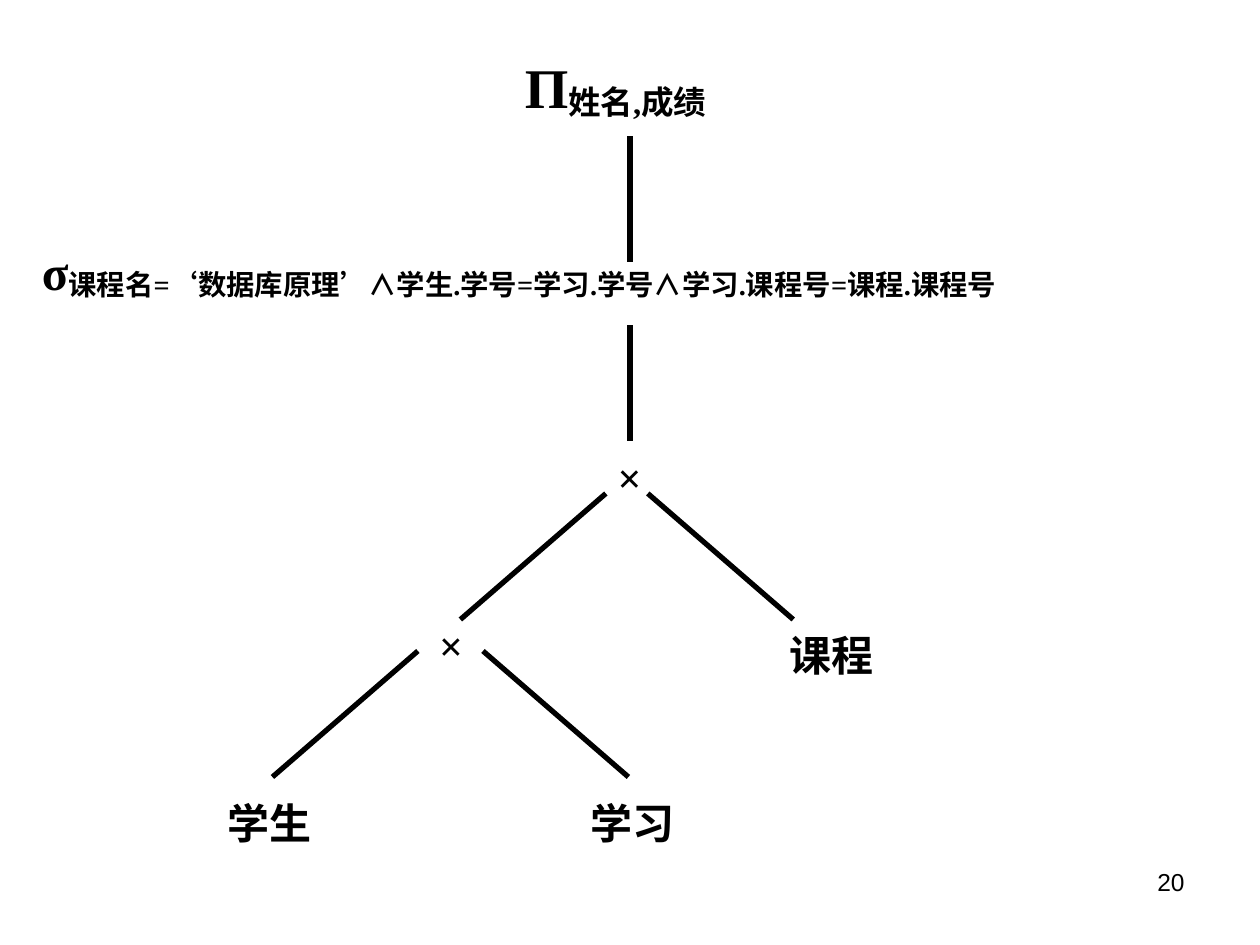
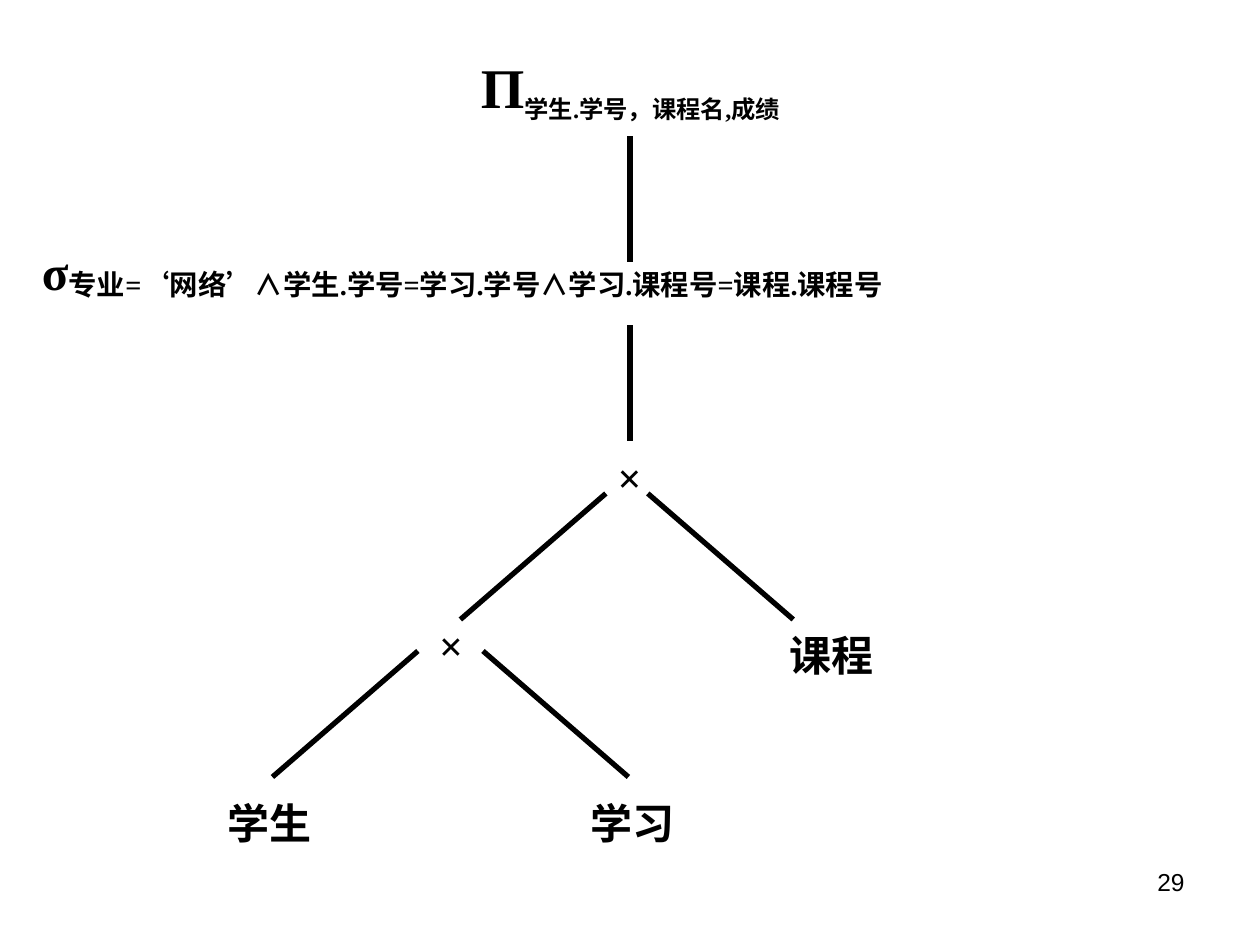
from lxml import etree
from pptx import Presentation, util as u
from pptx.dml.color import RGBColor
from pptx.enum import shapes, text
from pptx.oxml.ns import qn

BLACK = RGBColor(0, 0, 0)
SERIF, SANS = "Times New Roman", "Arial"
CELL = u.Inches(1 / 12)  # the slide is 120 columns by 90 rows
COLUMNS, ROWS = 120, 90
TRUNK = 60  # column of the vertical lines
BRANCH_COLUMNS, BRANCH_ROWS = 13.85, 12

# Joins: column, row and width of the sign
JOINS = [(57, 43, 5.9), (40, 59, 5.9)]
# Relations at the ends of the branches
RELATIONS = [("课程", 72, 60, 14.4), ("学生", 19, 76, 13.3), ("学习", 53, 76, 14.4)]
# Branches: column and row of the upper end, direction
BRANCHES = [(57.7, 47, -1), (61.7, 47, 1), (39.8, 62, -1), (46, 62, 1)]


def cells(count):
    return round(count * CELL)


def add_text(slide, column, row, width, height, size, align, name=SERIF, bold=True, margins=(0, 0)):
    """Add an empty text box and return its styled paragraph."""
    box = slide.shapes.add_textbox(*map(cells, (column, row, width, height)))
    frame = box.text_frame
    frame.word_wrap = True
    frame.margin_left = frame.margin_right = u.Inches(margins[0])
    frame.margin_top = frame.margin_bottom = u.Inches(margins[1])
    paragraph = frame.paragraphs[0]
    paragraph.alignment = align
    font = paragraph.font
    font.name, font.size, font.bold = name, u.Pt(size), bold
    font.color.rgb = BLACK
    return paragraph


def add_label(slide, wording, column, row, width):
    paragraph = add_text(slide, column, row, width, 4.8, 24, text.PP_ALIGN.CENTER)
    paragraph.add_run().text = wording


def add_operator(slide, symbol, condition, column, row, width, size, drop=10, condition_size=None):
    """Write an operator followed by its lowered condition."""
    paragraph = add_text(slide, column, row, width, 6, size, text.PP_ALIGN.LEFT)
    paragraph.add_run().text = symbol
    subscript = paragraph.add_run()
    subscript.text = condition
    subscript.font._element.set("baseline", str(-drop * 1000))
    if condition_size:
        subscript.font.size = u.Pt(condition_size)


def add_line(slide, start, end):
    line = slide.shapes.add_connector(
        shapes.MSO_CONNECTOR.STRAIGHT, *map(cells, (*start, *end)))
    line.line.color.rgb = BLACK
    line.line.width = u.Pt(3)
    etree.SubElement(line._element.spPr, qn("a:effectLst"))


def add_page_number(slide, number):
    paragraph = add_text(slide, 86, 82, 28, 6.25, 14, text.PP_ALIGN.RIGHT,
                         SANS, False, (0.1, 0.05))
    paragraph.add_run().text = str(number)


def add_tree(slide):
    """Draw the part of the query tree below and between the operators."""
    for top, bottom in ((13, 25), (31, 42)):
        add_line(slide, (TRUNK, top), (TRUNK, bottom))
    for column, row, direction in BRANCHES:
        add_line(slide, (column, row),
                 (column + direction * BRANCH_COLUMNS, row + BRANCH_ROWS))
    for column, row, width in JOINS:
        add_label(slide, "×", column, row, width)
    for relation in RELATIONS:
        add_label(slide, *relation)


def add_query_slide(presentation, number, projection, selection):
    slide = presentation.slides.add_slide(presentation.slide_layouts[6])
    add_page_number(slide, number)
    add_operator(slide, "Π", row=5, size=32, **projection)
    add_operator(slide, "σ", selection, 4, 23, 108, 28)
    add_tree(slide)


def main():
    presentation = Presentation()
    presentation.slide_width = cells(COLUMNS)
    presentation.slide_height = cells(ROWS)

    join_condition = "∧学生.学号=学习.学号∧学习.课程号=课程.课程号"
    # Grades for one course
    add_query_slide(presentation, 20,
                    dict(condition="姓名,成绩", column=50, width=21.4),
                    "课程名=‘数据库原理’" + join_condition)
    # Grades for one major
    add_query_slide(presentation, 29,
                    dict(condition="学生.学号，课程名,成绩", column=45.8, width=35.5,
                         drop=25, condition_size=24),
                    "专业=‘网络’" + join_condition)

    presentation.save("out.pptx")


if __name__ == "__main__":
    main()
